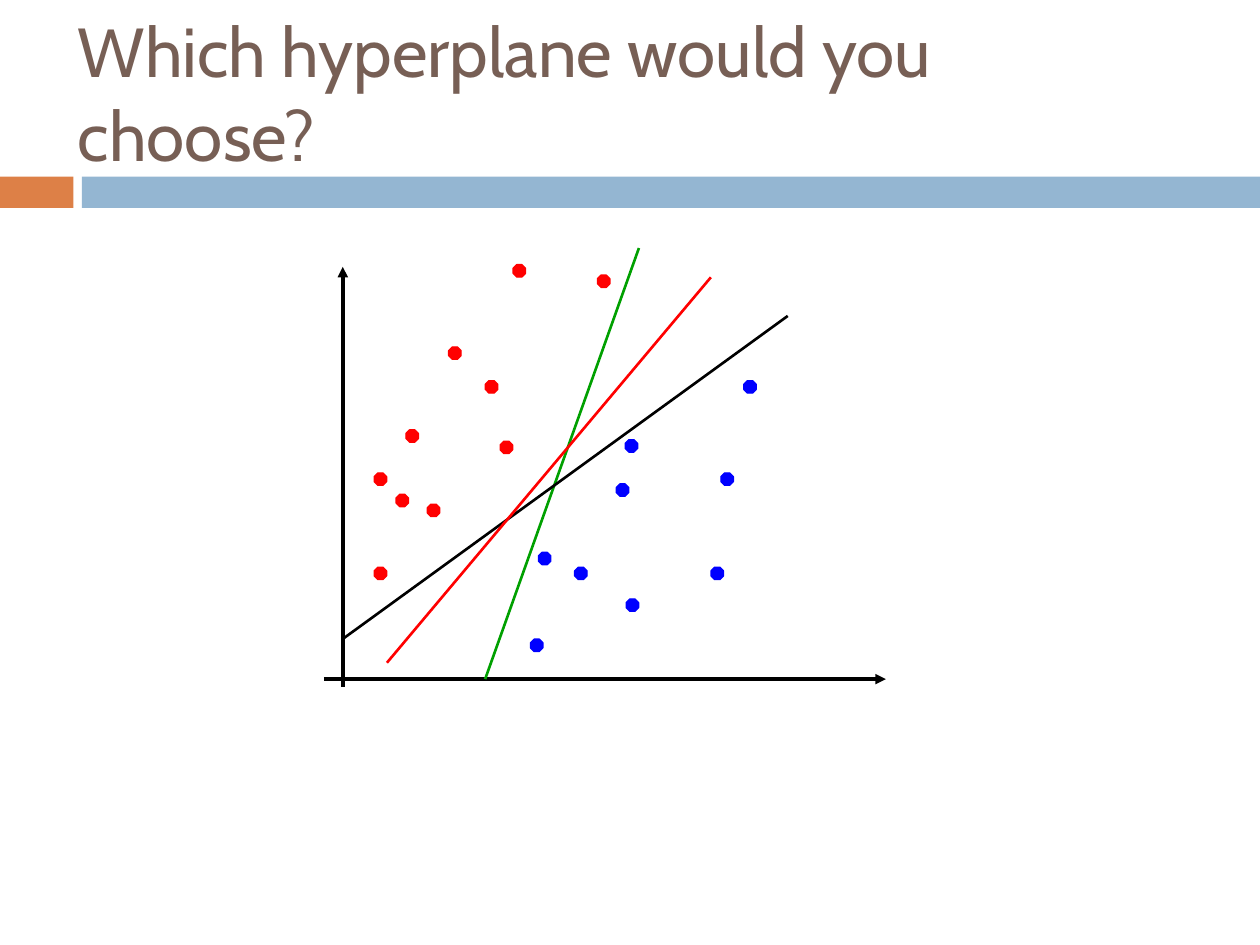
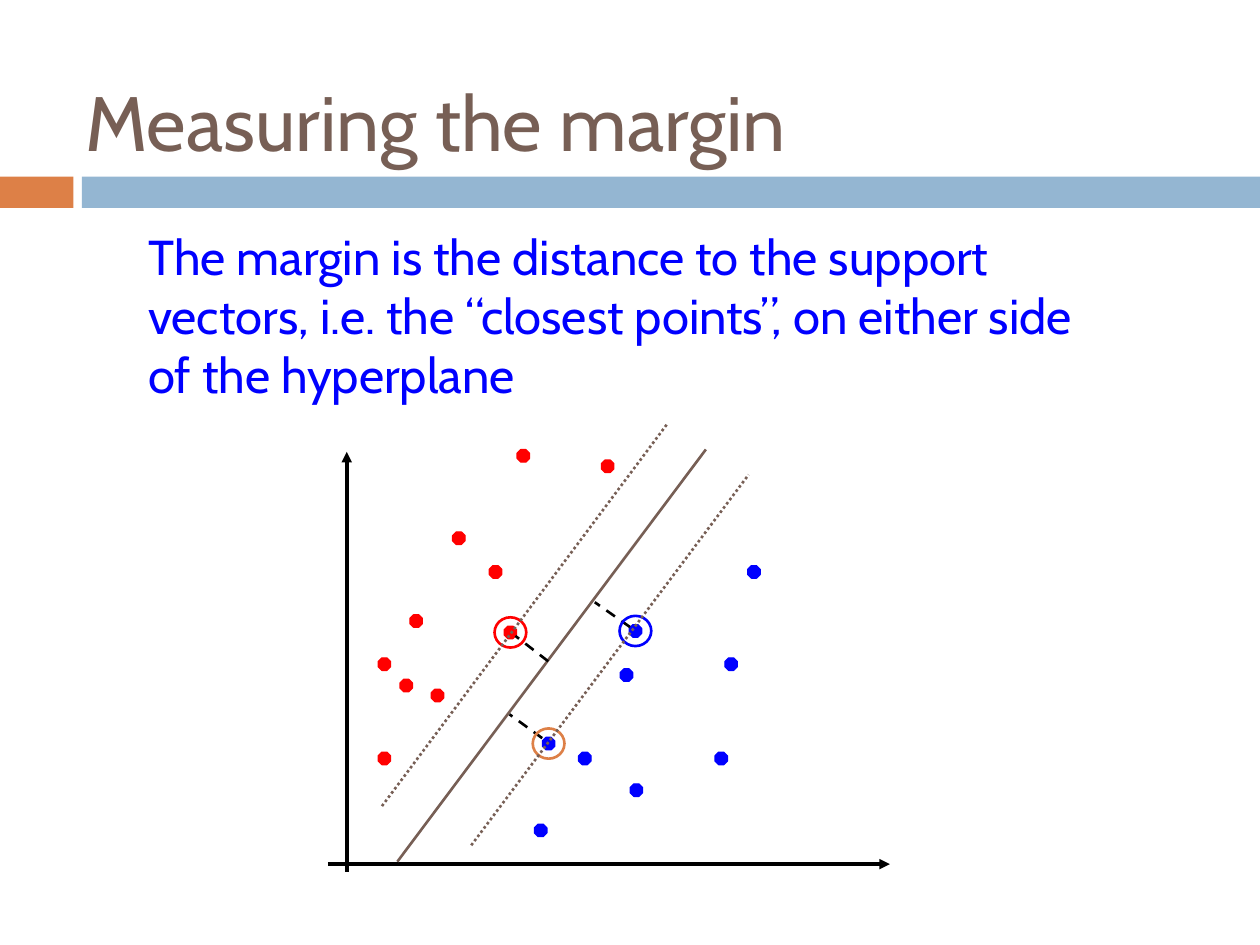
from lxml import etree
from pptx import Presentation
from pptx.dml.color import RGBColor
from pptx.enum.dml import MSO_LINE
from pptx.enum.shapes import MSO_CONNECTOR, MSO_SHAPE
from pptx.enum.text import MSO_ANCHOR
from pptx.oxml.ns import qn
from pptx.util import Cm, Pt

RECT, DOT, RING = MSO_SHAPE.RECTANGLE, MSO_SHAPE.OCTAGON, MSO_SHAPE.OVAL
STRAIGHT = MSO_CONNECTOR.STRAIGHT
TOP, MIDDLE = MSO_ANCHOR.TOP, MSO_ANCHOR.MIDDLE
DASH, DOTTED = MSO_LINE.DASH, MSO_LINE.ROUND_DOT

FONT = "Cabin"
BROWN, ORANGE, SKY = "775F55", "DD8047", "94B6D2"
RED, BLUE, GREEN, BLACK = "FF0000", "0000FF", "00A000", "000000"

RED_DOTS = [(3, 5.89), (1.4, 4.9), (1.83, 3.4), (0.76, 2.13), (2.26, 6.57),
            (0.76, 4.03), (1.2, 3.6), (3.3, 4.67), (3.56, 8.23), (5.26, 8.02)]
BLUE_DOTS = [(5.82, 4.7), (4.8, 2.13), (7.55, 2.13), (3.91, 0.68), (5.64, 3.81),
             (4.07, 2.43), (5.84, 1.49), (7.75, 4.03), (8.21, 5.89)]


def paint(target, color):
    """Set a solid colour on a fill or a font colour from a hex string."""
    if hasattr(target, "solid"):
        target.solid()
        target = target.fore_color
    target.rgb = RGBColor.from_string(color)


def add_text(slide, text, box, size=28, color=BLACK, anchor=TOP):
    """Add a wrapped text box at box (left, top, width, height in cm)."""
    frame = slide.shapes.add_textbox(*map(Cm, box)).text_frame
    frame.word_wrap = True
    frame.vertical_anchor = anchor
    frame.text = text
    font = frame.paragraphs[0].runs[0].font
    font.name, font.size = FONT, Pt(size)
    paint(font.color, color)


def add_form(slide, kind, box, fill=None, edge=None, width=0.75):
    """Add a preset shape at box (left, top, width, height in cm)."""
    shape = slide.shapes.add_shape(kind, *map(Cm, box))
    shape.shadow.inherit = False
    if fill:
        paint(shape.fill, fill)
    else:
        shape.fill.background()
    if edge:
        paint(shape.line.fill, edge)
        shape.line.width = Pt(width)
    else:
        shape.line.fill.background()
    return shape


def place(origin, point):
    """Turn a plot point, with y upwards, into a slide position in cm."""
    return origin[0] + point[0], origin[1] - point[1]


def add_line(slide, origin, start, end, color=BLACK, width=1.5, dash=None, arrow=False):
    """Draw a straight line between two plot points."""
    ends = place(origin, start) + place(origin, end)
    link = slide.shapes.add_connector(STRAIGHT, *map(Cm, ends))
    paint(link.line.fill, color)
    link.line.width = Pt(width)
    if dash:
        link.line.dash_style = dash
    if arrow:
        etree.SubElement(link.line._get_or_add_ln(), qn("a:tailEnd"), type="triangle")
    etree.SubElement(link._element.spPr, qn("a:effectLst"))


def add_mark(slide, origin, kind, point, wide, high, **style):
    """Centre a small shape on a plot point."""
    x, y = place(origin, point)
    return add_form(slide, kind, (x - wide / 2, y - high / 2, wide, high), **style)


def add_plot(slide, origin):
    """Draw the axes and the two classes of dots."""
    add_line(slide, origin, (0, -0.15), (0, 8.31), width=2, arrow=True)
    add_line(slide, origin, (-0.38, 0), (10.95, 0), width=2, arrow=True)
    for color, dots in ((RED, RED_DOTS), (BLUE, BLUE_DOTS)):
        for point in dots:
            add_mark(slide, origin, DOT, point, 0.25, 0.25, fill=color, edge=color)


def add_page(deck, title, left, top, size):
    """Add a blank slide with the two bands and a title."""
    slide = deck.slides.add_slide(deck.slide_layouts[6])
    add_form(slide, RECT, (0, 3.56, 1.48, 0.63), fill=ORANGE)
    add_form(slide, RECT, (1.65, 3.56, 23.75, 0.63), fill=SKY)
    add_text(slide, title, (left, top, 22.43, 2.74), size=size, color=BROWN, anchor=MIDDLE)
    return slide


def add_choice(deck):
    """Build the slide with three candidate hyperplanes."""
    slide = add_page(deck, "Which hyperplane would you choose?", 1.32, 0.48, 39.6)
    origin = (6.91, 13.69)
    add_plot(slide, origin)
    for start, end, color in (((2.87, 0), (5.97, 8.69), GREEN),
                              ((0, 0.81), (8.97, 7.32), BLACK),
                              ((0.89, 0.33), (7.42, 8.1), RED)):
        add_line(slide, origin, start, end, color)


def add_margin(deck):
    """Build the slide that shows the margin and its support vectors."""
    slide = add_page(deck, "Measuring the margin", 1.47, 1.07, 44)
    add_text(slide, "The margin is the distance to the support vectors, i.e. the "
             "“closest points”, on either side of the hyperplane",
             (2.74, 4.45, 19.63, 3.84), color=BLUE)
    origin = (6.99, 17.42)
    add_plot(slide, origin)
    add_line(slide, origin, (1.02, 0.05), (7.24, 8.36), BROWN)
    for start, end in (((5.71, 4.78), (5, 5.28)), ((3.94, 2.54), (3.28, 3.02)),
                       ((4.06, 4.09), (3.4, 4.6))):
        add_line(slide, origin, start, end, dash=DASH)
    for point, color in ((RED_DOTS[7], RED), (BLUE_DOTS[5], ORANGE), (BLUE_DOTS[0], BLUE)):
        add_mark(slide, origin, RING, point, 0.64, 0.61, edge=color, width=1.5)
    for start, end in (((2.51, 0.38), (8.1, 7.85)), ((0.71, 1.17), (6.45, 8.86))):
        add_line(slide, origin, start, end, BROWN, dash=DOTTED)


def main():
    """Build and save the deck."""
    deck = Presentation()
    deck.slide_width, deck.slide_height = Cm(25.4), Cm(19.05)
    add_choice(deck)
    add_margin(deck)
    deck.save("out.pptx")


if __name__ == "__main__":
    main()
